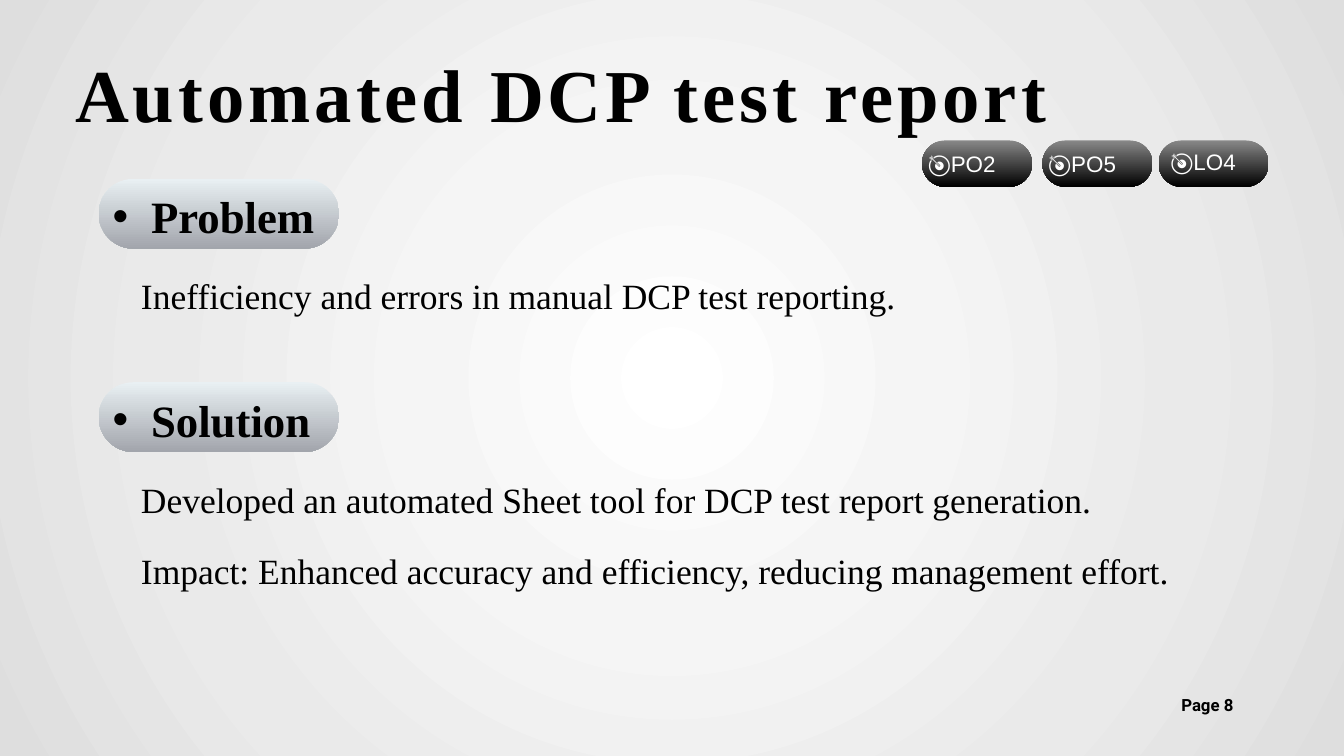
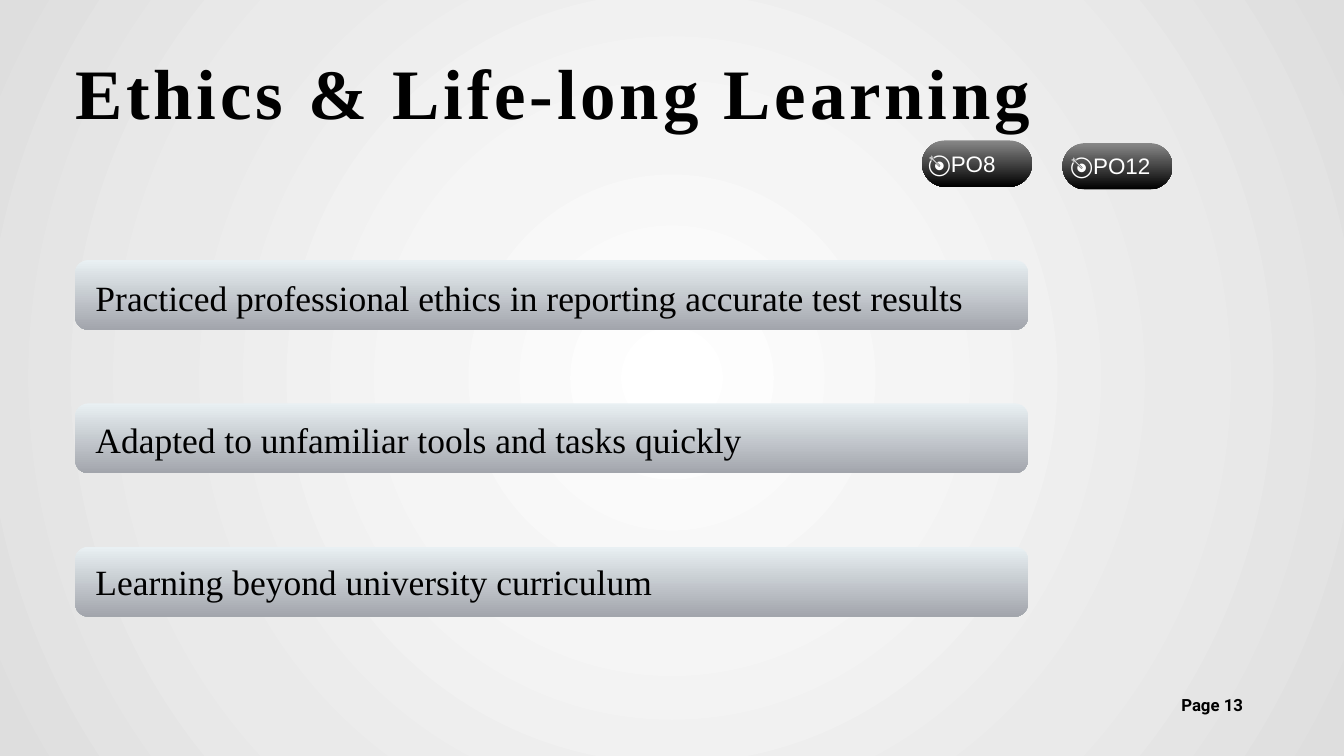
"""Build two slides, on an automated test report and on ethics and learning."""
from dataclasses import dataclass

from lxml import etree
from pptx import Presentation
from pptx import util as u
from pptx.dml.color import RGBColor
from pptx.enum import shapes, text
from pptx.oxml import ns

BLACK = RGBColor(0x00, 0x00, 0x00)
WHITE = RGBColor(0xFF, 0xFF, 0xFF)
GREY = RGBColor(0x88, 0x88, 0x88)
MIST = RGBColor(0xE9, 0xF0, 0xF3)
STEEL = RGBColor(0xA2, 0xA5, 0xAC)
BACKDROP = {
    0: WHITE,
    33: RGBColor(0xF5, 0xF5, 0xF5),
    67: RGBColor(0xEA, 0xEA, 0xEA),
    100: RGBColor(0xDE, 0xDE, 0xDE),
}
SERIF = "Times New Roman"
LEFT = 2.84
BAND_HEIGHT = 2.64
TITLE_ONLY = 5


@dataclass(frozen=True)
class Box:
    left: float
    top: float
    width: float
    height: float

    def lengths(self) -> tuple:
        return tuple(u.Cm(side) for side in (self.left, self.top, self.width, self.height))


@dataclass(frozen=True)
class Style:
    size: float
    leading: float
    font: str = SERIF
    color: RGBColor = BLACK
    bold: bool = False
    tracking: float = 0
    align: text.PP_ALIGN = text.PP_ALIGN.LEFT
    bullet: bool = False


@dataclass(frozen=True)
class Tag:
    label: str
    left: float
    top: float = 5.31
    inset_x: float = 0.23
    inset_y: float = 0.2
    label_width: float = 3.68


@dataclass(frozen=True)
class Section:
    heading: str
    top: float
    heading_height: float
    lines: tuple[str, ...]
    body_width: float


BODY = Style(38, 76)
HEADING = Style(48, 67.2, bold=True, bullet=True)
TAG = Style(24, 33.6, font="Arial", color=WHITE)
FOOTER = Style(18, 25.2, font="Roboto", bold=True, align=text.PP_ALIGN.JUSTIFY)

REPORT_TAGS = (
    Tag("🎯PO2", 34.85),
    Tag("🎯PO5", 39.4),
    Tag("🎯LO4", 43.79, inset_x=0.46, inset_y=0.13, label_width=3.23),
)
ETHICS_TAGS = (
    Tag("🎯PO8", 34.85),
    Tag("🎯PO12", 40.16, top=5.41, inset_x=0.3, inset_y=0.18),
)
SECTIONS = (
    Section("Problem", 6.76, 2.18,
            ("Inefficiency and errors in manual DCP test reporting.",), 30.86),
    Section("Solution", 14.45, 2.54,
            ("Developed an automated Sheet tool for DCP test report generation.",
             "Impact: Enhanced accuracy and efficiency, reducing management effort."), 44.25),
)
LESSONS = (
    ("Practiced professional ethics in reporting accurate test results", 35.28),
    ("Adapted to unfamiliar tools and tasks quickly", 28.4),
    ("Learning beyond university curriculum", 28.4),
)


def paint_backdrop(deck) -> None:
    master = deck.slide_master
    master.background.fill.gradient()
    gradient = master.element.xpath(".//p:bg//a:gradFill")[0]
    for child in list(gradient):
        gradient.remove(child)
    stops = etree.SubElement(gradient, ns.qn("a:gsLst"))
    for position, color in BACKDROP.items():
        stop = etree.SubElement(stops, ns.qn("a:gs"), pos=str(position * 1000))
        etree.SubElement(stop, ns.qn("a:srgbClr"), val=str(color))
    circle = etree.SubElement(gradient, ns.qn("a:path"), path="circle")
    etree.SubElement(circle, ns.qn("a:fillToRect"), l="50000", t="50000", r="50000", b="50000")


def add_bullet(para) -> None:
    para.level = 1
    properties = para._p.get_or_add_pPr()
    properties.set("marL", str(u.Cm(2.87)))
    properties.set("indent", str(u.Cm(-1.45)))
    etree.SubElement(properties, ns.qn("a:buFont"), typeface="Arial")
    etree.SubElement(properties, ns.qn("a:buChar"), char="•")


def write(shape, lines: tuple[str, ...], style: Style) -> None:
    frame = shape.text_frame
    frame.margin_left = frame.margin_top = frame.margin_right = frame.margin_bottom = 0
    frame.word_wrap = True
    frame.auto_size = text.MSO_AUTO_SIZE.SHAPE_TO_FIT_TEXT
    frame.vertical_anchor = text.MSO_ANCHOR.TOP
    for index, line in enumerate(lines):
        para = frame.add_paragraph() if index else frame.paragraphs[0]
        if style.bullet:
            add_bullet(para)
        para.alignment = style.align
        para.line_spacing = u.Pt(style.leading)
        span = para.add_run()
        span.text = line
        span.font.name = style.font
        span.font.size = u.Pt(style.size)
        span.font.bold = style.bold
        span.font.color.rgb = style.color
        if style.tracking:
            span._r.get_or_add_rPr().set("spc", str(round(style.tracking * 100)))


def add_text(page, box: Box, style: Style, *lines: str) -> None:
    write(page.shapes.add_textbox(*box.lengths()), lines, style)


def add_band(page, box: Box, rounding: float, upper: RGBColor, lower: RGBColor) -> None:
    band = page.shapes.add_shape(shapes.MSO_SHAPE.ROUNDED_RECTANGLE, *box.lengths())
    band.adjustments[0] = rounding
    band.shadow.inherit = False
    band.line.fill.background()
    band.fill.gradient()
    band.fill.gradient_angle = 270
    for stop, color in zip(band.fill.gradient_stops, (upper, lower)):
        stop.color.rgb = color


def add_tag(page, tag: Tag) -> None:
    add_band(page, Box(tag.left, tag.top, 4.16, 1.75), 0.5, GREY, BLACK)
    label_box = Box(tag.left + tag.inset_x, tag.top + tag.inset_y, tag.label_width, 1.27)
    add_text(page, label_box, TAG, tag.label)


def add_section(page, section: Section) -> None:
    add_band(page, Box(3.73, section.top, 9.09, BAND_HEIGHT), 0.5, MIST, STEEL)
    add_text(page, Box(LEFT, section.top + 0.05, 9.17, section.heading_height),
             HEADING, section.heading)
    body_box = Box(5.33, section.top + 2.54, section.body_width, 2.65 * len(section.lines))
    add_text(page, body_box, BODY, *section.lines)


def add_page(deck, title: str, box: Box, style: Style, tags: tuple[Tag, ...], number: int):
    page = deck.slides.add_slide(deck.slide_layouts[TITLE_ONLY])
    heading = page.shapes.title
    heading.left, heading.top, heading.width, heading.height = box.lengths()
    write(heading, (title,), style)
    for tag in tags:
        add_tag(page, tag)
    add_text(page, Box(44.65, 26.14, 3.3, 0.91), FOOTER, f"Page {number}")
    return page


def build_report(deck) -> None:
    page = add_page(deck, "Automated DCP test report", Box(LEFT, 1.4, 38.43, 3.68),
                    Style(80, 107.2, bold=True, tracking=4.3), REPORT_TAGS, 8)
    for section in SECTIONS:
        add_section(page, section)


def build_ethics(deck) -> None:
    page = add_page(deck, "Ethics & Life-long Learning", Box(LEFT, 1.45, 41.91, 3.91),
                    Style(76, 101.8, bold=True, tracking=4.1), ETHICS_TAGS, 13)
    for row, (lesson, width) in enumerate(LESSONS):
        add_band(page, Box(LEFT, 9.83 + 5.42 * row, 36.02, BAND_HEIGHT), 0.19, MIST, STEEL)
        add_text(page, Box(3.61, 9.37 + 5.36 * row, width, BAND_HEIGHT), BODY, lesson)


def main() -> None:
    deck = Presentation()
    deck.slide_width, deck.slide_height = u.Cm(50.8), u.Cm(28.58)
    paint_backdrop(deck)
    build_report(deck)
    build_ethics(deck)
    deck.save("out.pptx")


if __name__ == "__main__":
    main()
